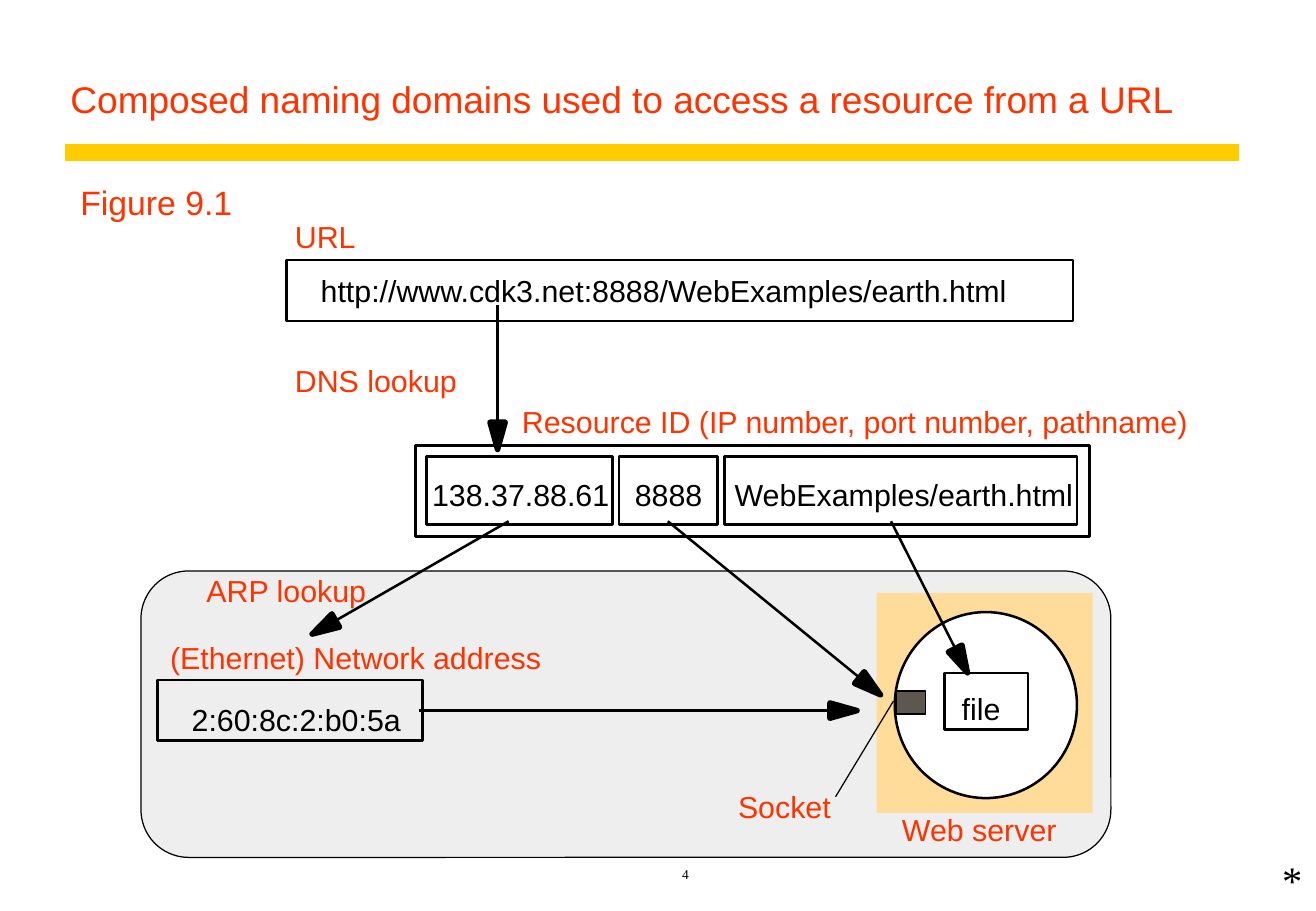
from math import hypot

from lxml.etree import SubElement
from pptx import Presentation
from pptx.dml.color import RGBColor
from pptx.enum.shapes import MSO_CONNECTOR, MSO_SHAPE as Kind
from pptx.enum.text import MSO_ANCHOR, MSO_AUTO_SIZE as Fit, PP_ALIGN as Align
from pptx.oxml.ns import qn
from pptx.util import Cm, Pt

RED = RGBColor(0xFF, 0x33, 0x00)
GOLD = RGBColor(0xFF, 0xCC, 0x00)
BLACK = RGBColor(0x00, 0x00, 0x00)
WHITE = RGBColor(0xFF, 0xFF, 0xFF)
GREY = RGBColor(0xEE, 0xEE, 0xEE)
PEACH = RGBColor(0xFF, 0xDC, 0x99)
BROWN = RGBColor(0x5E, 0x57, 0x4E)
SANS, SERIF = "Arial", "Times New Roman"

deck = Presentation()
deck.slide_width, deck.slide_height = Cm(27.53), Cm(19.05)
slide = deck.slides.add_slide(deck.slide_layouts[5])
shapes = slide.shapes


def paint(shape, fill, width):
    """Fill and outline a shape; None leaves out the fill, 0 the outline."""
    shape.shadow.inherit = False
    if fill is None:
        shape.fill.background()
    else:
        shape.fill.solid()
        shape.fill.fore_color.rgb = fill
    if width:
        shape.line.color.rgb = BLACK
        shape.line.width = Pt(width)
    else:
        shape.line.fill.background()


def join(start, end, width, color=BLACK):
    """Draw a straight line between two points given in centimetres."""
    ends = [Cm(v) for v in (*start, *end)]
    line = shapes.add_connector(MSO_CONNECTOR.STRAIGHT, *ends)
    line.line.color.rgb = color
    line.line.width = Pt(width)
    SubElement(line._element.spPr, qn("a:effectLst"))


# Title and rule
join((1.37, 3.18), (25.91, 3.18), 10, GOLD)
title = shapes.title
title.left, title.top = Cm(1.22), Cm(0.64)
title.width, title.height = Cm(24.69), Cm(2.03)
frame = title.text_frame
frame.text = "Composed naming domains used to access a resource from a URL"
frame.auto_size = Fit.NONE
frame.vertical_anchor = MSO_ANCHOR.BOTTOM
head = frame.paragraphs[0]
head.alignment = Align.LEFT
head.line_spacing = 0.9
font = head.runs[0].font
font.name, font.size, font.color.rgb = SANS, Pt(22), RED

# Boxes: kind, left, top, width, height, fill, outline
boxes = [
    (Kind.ROUNDED_RECTANGLE, 2.95, 11.94, 20.29, 5.99, GREY, 0.75),  # network
    (Kind.RECTANGLE, 18.34, 12.4, 4.52, 4.6, PEACH, 0),  # server
    (Kind.OVAL, 18.72, 12.8, 3.81, 3.89, WHITE, 1.5),
    (Kind.RECTANGLE, 19.76, 14.07, 1.75, 1.19, None, 1.5),  # file
    (Kind.RECTANGLE, 18.75, 14.45, 0.61, 0.48, BROWN, 0.75),  # socket
    (Kind.RECTANGLE, 5.99, 5.44, 16.46, 1.27, None, 1.5),  # URL
    (Kind.RECTANGLE, 8.69, 9.32, 14.1, 1.9, WHITE, 1.5),  # resource ID
    (Kind.RECTANGLE, 3.3, 14.22, 5.54, 1.27, None, 1.5),  # Ethernet address
]
for left, width in [(8.92, 3.89), (12.95, 2.06), (15.16, 7.37)]:
    boxes.append((Kind.RECTANGLE, left, 9.55, width, 1.42, None, 1.5))
for kind, left, top, width, height, fill, line in boxes:
    box = shapes.add_shape(kind, Cm(left), Cm(top), Cm(width), Cm(height))
    paint(box, fill, line)

# Arrows with long, narrow heads
HEAD, HALF = 0.57, 0.16
arrows = [
    ((10.41, 6.38), (10.41, 9.4)),  # DNS lookup
    ((10.64, 10.9), (6.53, 13.26)),  # ARP lookup
    ((13.97, 10.9), (18.42, 14.53)),  # port to socket
    ((18.64, 10.9), (20.24, 14.07)),  # path to file
    ((8.76, 14.86), (17.93, 14.86)),  # address to server
]
for start, tip in arrows:
    dx, dy = tip[0] - start[0], tip[1] - start[1]
    size = hypot(dx, dy)
    dx, dy = dx / size, dy / size
    x, y = tip[0] - HEAD * dx, tip[1] - HEAD * dy
    join(start, (x, y), 1.5)
    wings = [(x - HALF * dy, y + HALF * dx), tip, (x + HALF * dy, y - HALF * dx)]
    points = [(Cm(px), Cm(py)) for px, py in wings]
    path = shapes.build_freeform(*points[0])
    path.add_line_segments(points[1:], close=True)
    paint(path.convert_to_shape(), BLACK, 3.25)
join((18.69, 14.66), (17.48, 16.66), 0.75)

# Labels: text, left, top, width, colour, size, font
labels = [
    ("Figure 9.1", 1.68, 3.81, 3.8, RED, 20, SANS),
    ("URL", 6.17, 4.57, 1.8, RED, 18, SANS),
    ("http://www.cdk3.net:8888/WebExamples/earth.html",
     6.71, 5.69, 15.2, BLACK, 18, SANS),
    ("DNS lookup", 6.17, 7.57, 4, RED, 18, SANS),
    ("Resource ID (IP number, port number, pathname)",
     10.92, 8.43, 14.8, RED, 18, SANS),
    ("138.37.88.61", 9.04, 9.96, 4.2, BLACK, 18, SANS),
    ("8888", 13.28, 9.96, 1.8, BLACK, 18, SANS),
    ("WebExamples/earth.html", 15.37, 9.96, 7.7, BLACK, 18, SANS),
    ("ARP lookup", 4.32, 11.96, 4, RED, 18, SANS),
    ("(Ethernet) Network address", 3.56, 13.36, 8.4, RED, 18, SANS),
    ("2:60:8c:2:b0:5a", 4.01, 14.66, 5, BLACK, 18, SANS),
    ("file", 20.12, 14.43, 1.3, BLACK, 18, SANS),
    ("Socket", 15.44, 16.48, 2.5, RED, 18, SANS),
    ("Web server", 18.87, 16.97, 3.9, RED, 18, SANS),
    ("4", 14.27, 18.1, 0.4, BLACK, 8, SERIF),
    ("*", 26.82, 17.88, 0.7, BLACK, 24, SERIF),
]
for text, left, top, width, color, size, name in labels:
    height = Pt(size * 1.2)
    label = shapes.add_textbox(Cm(left), Cm(top), Cm(width), height)
    frame = label.text_frame
    frame.text = text
    frame.word_wrap = True
    frame.auto_size = Fit.NONE
    frame.margin_left = frame.margin_right = 0
    frame.margin_top = frame.margin_bottom = 0
    font = frame.paragraphs[0].runs[0].font
    font.name, font.size, font.color.rgb = name, Pt(size), color

deck.save("out.pptx")
